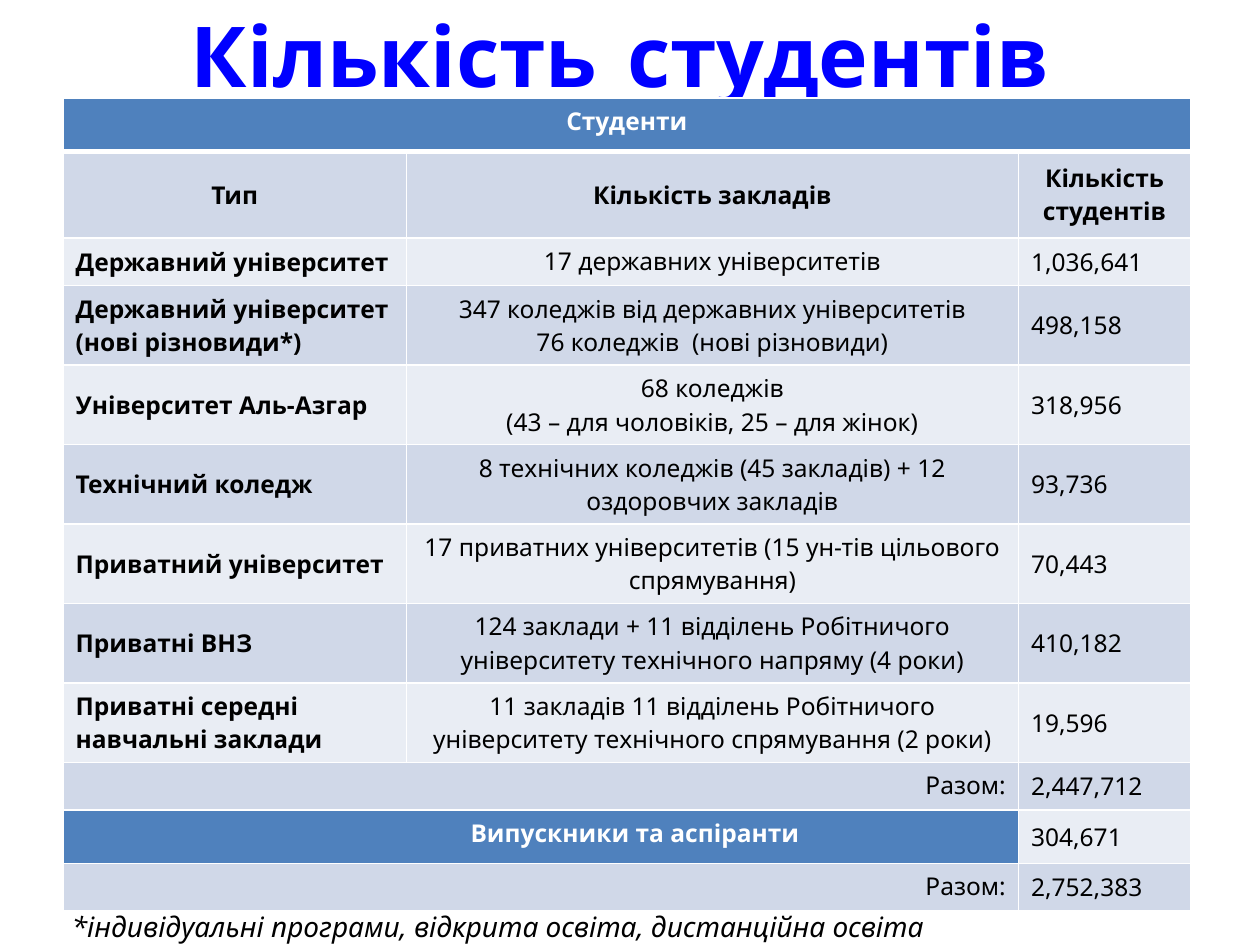
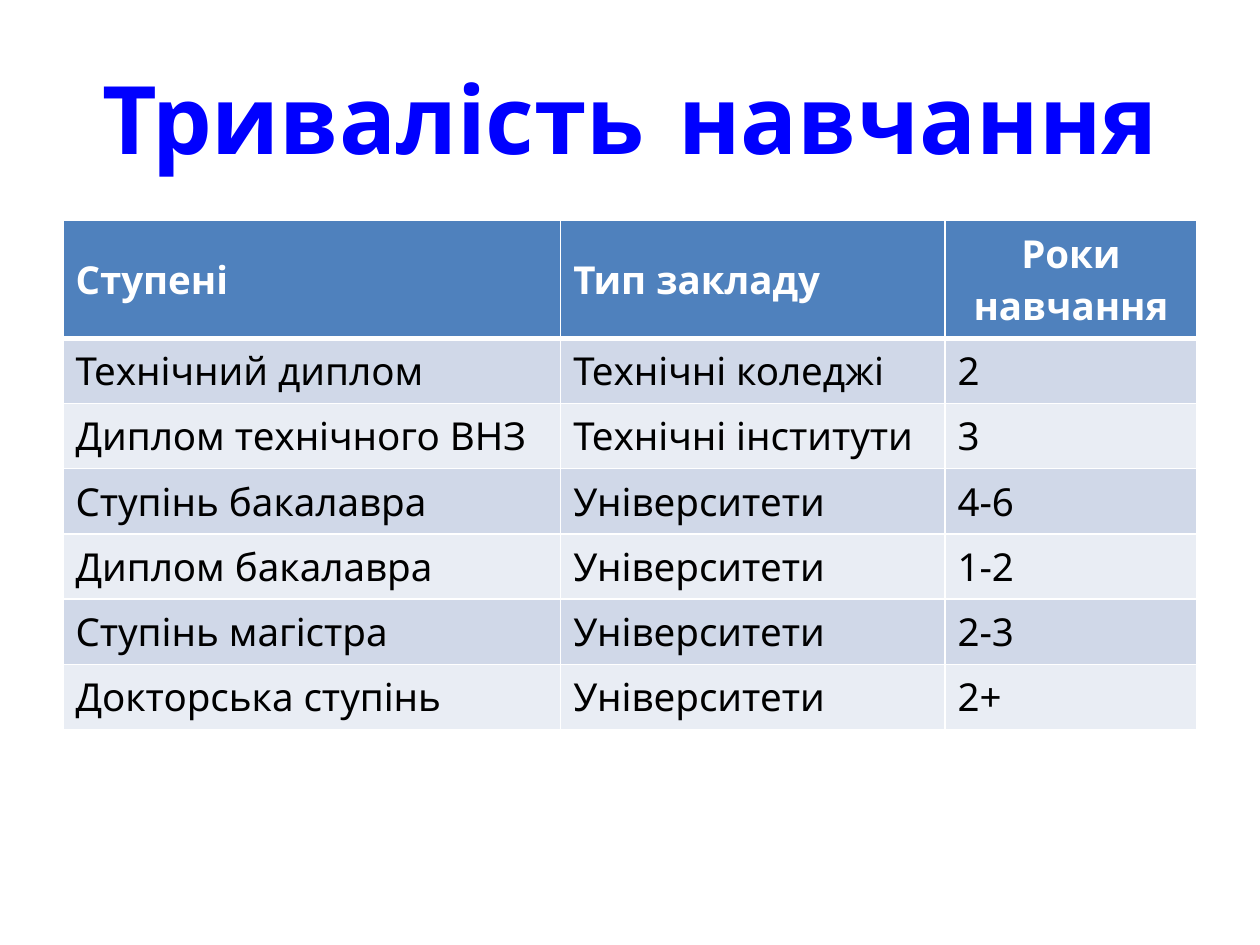
from lxml import etree
from pptx import Presentation
from pptx import util as u
from pptx.dml import color
from pptx.enum import text
from pptx.oxml import ns

# Shared look
BLUE, HEADER, WHITE, BLACK = "0000FF", "4F81BD", "FFFFFF", "000000"
BANDS = ("E9EDF4", "D0D8E8")
TITLE_FONT, BODY_FONT = "Comic Neue", "Noto Sans"
LEFT, CENTER, RIGHT = (text.PP_ALIGN.LEFT, text.PP_ALIGN.CENTER,
                       text.PP_ALIGN.RIGHT)
TOP, MIDDLE = text.MSO_ANCHOR.TOP, text.MSO_ANCHOR.MIDDLE

# Cell styles
HEAD = dict(color=WHITE, bold=True, fill=HEADER)
HEAD_CENTER = dict(HEAD, align=CENTER)
HEAD_TOP = dict(HEAD_CENTER, anchor=TOP)
LABEL = dict(bold=True)
LABEL_CENTER = dict(bold=True, align=CENTER)
NOTE = dict(align=CENTER, anchor=TOP)
TOTAL = dict(align=RIGHT, anchor=TOP)
PLAIN = {}

STUDENT_ROWS = [
    ("Державний університет", "17 державних університетів", "1,036,641"),
    ("Державний університет (нові різновиди*)",
     "347 коледжів від державних університетів\n"
     "76 коледжів  (нові різновиди)", "498,158"),
    ("Університет Аль-Азгар",
     "68 коледжів\n(43 – для чоловіків, 25 – для жінок)", "318,956"),
    ("Технічний коледж",
     "8 технічних коледжів (45 закладів) + 12 оздоровчих закладів", "93,736"),
    ("Приватний університет",
     "17 приватних університетів (15 ун-тів цільового спрямування)", "70,443"),
    ("Приватні ВНЗ",
     "124 заклади + 11 відділень Робітничого університету технічного "
     "напряму (4 роки)", "410,182"),
    ("Приватні середні навчальні заклади",
     "11 закладів 11 відділень Робітничого університету технічного "
     "спрямування (2 роки)", "19,596"),
]

DEGREE_ROWS = [
    ("Технічний диплом", "Технічні коледжі", "2"),
    ("Диплом технічного ВНЗ", "Технічні інститути", "3"),
    ("Ступінь бакалавра", "Університети", "4-6"),
    ("Диплом бакалавра", "Університети", "1-2"),
    ("Ступінь магістра", "Університети", "2-3"),
    ("Докторська ступінь", "Університети", "2+"),
]


def rgb(value):
    return color.RGBColor.from_string(value)


def set_all(target, values):
    for name, value in values.items():
        setattr(target, name, value)


def write(frame, content, ink, align=LEFT, **font):
    """Fill a text frame, one paragraph per line of content."""
    frame.text = content
    for paragraph in frame.paragraphs:
        paragraph.alignment = align
        for run in paragraph.runs:
            set_all(run.font, font)
            run.font.color.rgb = rgb(ink)


def place(shape, left, top, width, height):
    set_all(shape, dict(left=u.Pt(left), top=u.Pt(top),
                        width=u.Pt(width), height=u.Pt(height)))


def add_title_slide(presentation, title, size, box):
    slide = presentation.slides.add_slide(presentation.slide_layouts[5])
    shape = slide.shapes.title
    place(shape, *box)
    set_all(shape.text_frame, dict(auto_size=text.MSO_AUTO_SIZE.NONE,
                                   vertical_anchor=MIDDLE))
    write(shape.text_frame, title, BLUE, CENTER,
          name=TITLE_FONT, size=u.Pt(size), bold=True)
    return slide


def set_borders(cell, top=1, bottom=1):
    """White rules; they must come before the fill in the cell properties."""
    properties = cell._tc.get_or_add_tcPr()
    widths = dict(lnL=1, lnR=1, lnT=top, lnB=bottom)
    for index, (tag, width) in enumerate(widths.items()):
        line = etree.Element(ns.qn("a:" + tag), w=str(u.Pt(width)))
        fill = etree.SubElement(line, ns.qn("a:solidFill"))
        etree.SubElement(fill, ns.qn("a:srgbClr"), val=WHITE)
        properties.insert(index, line)


def style_cell(cell, content, size, band, color=BLACK, bold=False,
               align=LEFT, anchor=MIDDLE, fill=None, indent=None):
    cell.fill.solid()
    cell.fill.fore_color.rgb = rgb(fill or band)
    cell.vertical_anchor = anchor
    if indent:
        cell.margin_left = u.Pt(indent)
    if content:
        write(cell.text_frame, content, color, align,
              name=BODY_FONT, size=u.Pt(size), bold=bold)


def add_table(slide, left, top, widths, heights, size, rows):
    """rows holds (texts, styles); a text of None joins the cell to its left."""
    frame = slide.shapes.add_table(len(rows), len(widths), u.Pt(left),
                                   u.Pt(top), u.Pt(sum(widths)),
                                   u.Pt(sum(heights)))
    table = frame.table
    for column, width in zip(table.columns, widths):
        column.width = u.Pt(width)
    for row, height in zip(table.rows, heights):
        row.height = u.Pt(height)
    for r, (contents, styles) in enumerate(rows):
        for c, (content, style) in enumerate(zip(contents, styles)):
            cell = table.cell(r, c)
            style_cell(cell, content, size, BANDS[r % 2], **style)
            # Heavier rule under the header row
            set_borders(cell, top=3 if r == 1 else 1,
                        bottom=3 if r == 0 else 1)
        # Join each filled cell with the empty ones after it
        starts = [c for c, content in enumerate(contents) if content]
        for start, end in zip(starts, starts[1:] + [len(contents)]):
            if end - start > 1:
                table.cell(r, start).merge(table.cell(r, end - 1))


def add_footnote(slide, content, box):
    shape = slide.shapes.add_textbox(*map(u.Pt, box))
    shape.text_frame.word_wrap = True
    write(shape.text_frame, content, BLACK,
          name=BODY_FONT, size=u.Pt(16), italic=True)


def build_students(presentation):
    slide = add_title_slide(presentation, "Кількість студентів", 48,
                            (22.5, 0, 664, 62))
    graduates = dict(HEAD_TOP, indent=115)
    rows = [
        (("Студенти", None, None), [HEAD_TOP] * 3),
        (("Тип", "Кількість закладів", "Кількість студентів"),
         [LABEL_CENTER] * 3),
        *((row, (LABEL, NOTE, PLAIN)) for row in STUDENT_ROWS),
        (("Разом:", None, "2,447,712"), (TOTAL, TOTAL, PLAIN)),
        (("Випускники та аспіранти", None, "304,671"),
         (graduates, graduates, PLAIN)),
        (("Разом:", None, "2,752,383"), (TOTAL, TOTAL, PLAIN)),
    ]
    heights = [30.5, 49.5, 27.3] + [45] * 6 + [27.3, 30.5, 27.3]
    add_table(slide, 36, 56, (196.3, 349.7, 98.4), heights, 14, rows)
    add_footnote(slide, "*індивідуальні програми, відкрита освіта, "
                 "дистанційна освіта", (34, 516, 506, 27))


def build_duration(presentation):
    slide = add_title_slide(presentation, "Тривалість навчання", 54,
                            (36, 21.6, 648, 90))
    rows = [(("Ступені", "Тип закладу", "Роки навчання"),
             (HEAD, HEAD, HEAD_CENTER))]
    rows += [(row, [PLAIN] * 3) for row in DEGREE_ROWS]
    add_table(slide, 36, 126, (284.4, 219.6, 144), [67] + [37.3] * 6, 22, rows)


def main():
    presentation = Presentation()
    set_all(presentation, dict(slide_width=u.Pt(720), slide_height=u.Pt(540)))
    build_students(presentation)
    build_duration(presentation)
    presentation.save("out.pptx")


main()
